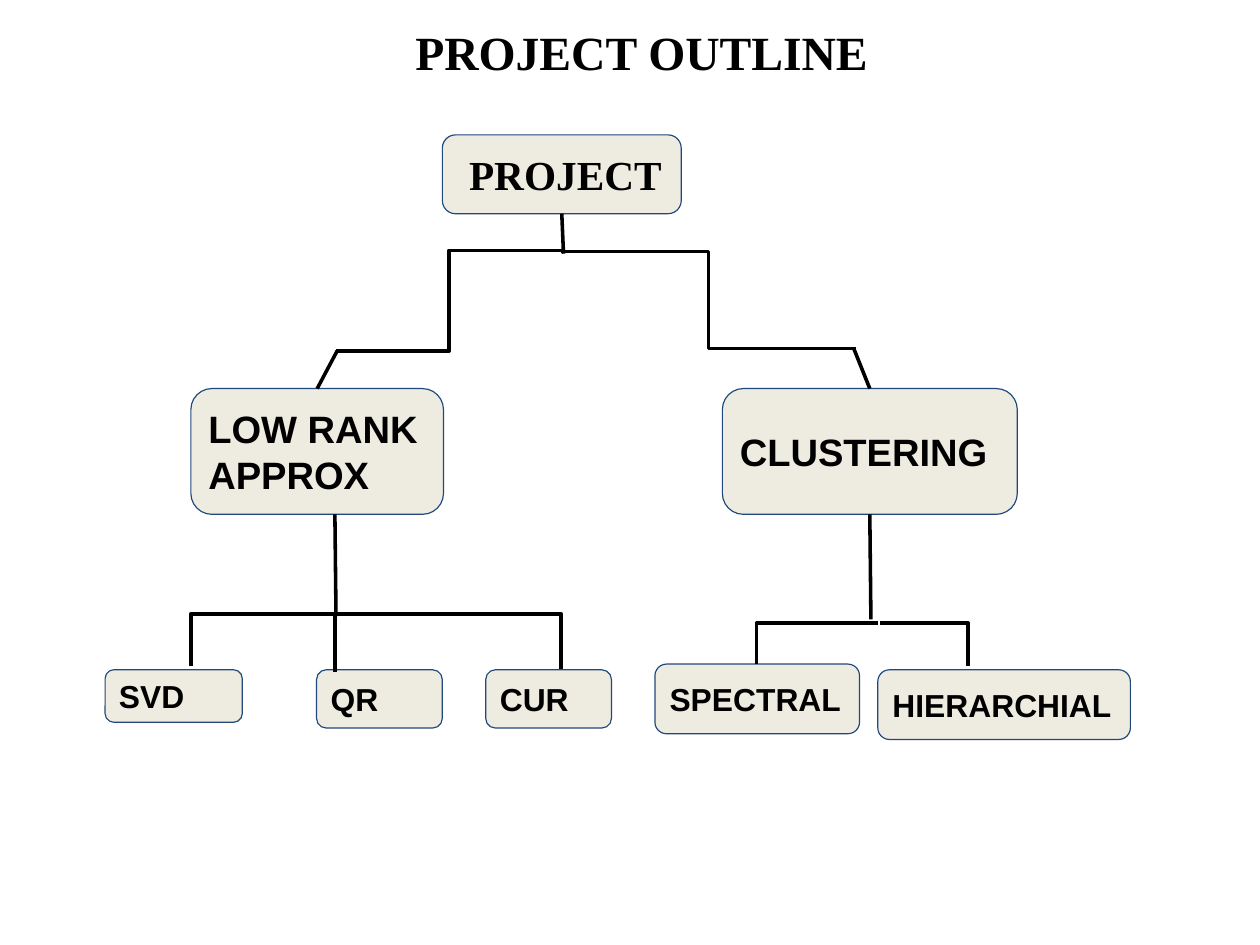
"""Build the project outline slide: a tree of rounded boxes joined by lines."""
from dataclasses import dataclass
from typing import Optional

from lxml import etree
from pptx import Presentation
from pptx.dml.color import RGBColor
from pptx.enum import shapes, text
from pptx.oxml import ns
from pptx.util import Cm, Inches, Pt

BLACK = RGBColor(0x00, 0x00, 0x00)
NAVY = RGBColor(0x1F, 0x49, 0x7D)
CREAM = RGBColor(0xEE, 0xEC, 0xE1)
SERIF, SANS = "Times New Roman", "Arial"
TOP, BOTTOM = 0, 2


@dataclass
class Node:
    label: str
    left: float
    top: float
    width: float
    height: float
    size: int = 20
    font: str = SANS
    indent: float = 0.1


@dataclass
class Link:
    start: tuple[float, float]
    end: tuple[float, float]
    bend: Optional[float] = None
    leaves: Optional[str] = None
    enters: Optional[str] = None


NODES = [
    Node("PROJECT", 3.87, 1.18, 2.09, 0.69, 26, SERIF, 0.2),
    Node("LOW RANK APPROX", 1.67, 3.4, 2.21, 1.1, 24),
    Node("CLUSTERING", 6.32, 3.4, 2.58, 1.1, 24),
    Node("SVD", 0.92, 5.86, 1.2, 0.46),
    Node("QR", 2.77, 5.86, 1.1, 0.51),
    Node("CUR", 4.25, 5.86, 1.1, 0.51),
    Node("SPECTRAL", 5.73, 5.81, 1.79, 0.61),
    Node("HIERARCHIAL", 7.68, 5.86, 2.21, 0.61),
]

LINKS = [
    Link((4.91, 1.87), (4.93, 2.22), leaves="PROJECT"),
    Link((4.92, 2.19), (2.94, 3.07), bend=0.5),
    Link((4.91, 2.2), (7.49, 3.05), bend=0.5),
    Link((2.95, 3.07), (2.78, 3.4), enters="LOW RANK APPROX"),
    Link((7.47, 3.05), (7.61, 3.4), enters="CLUSTERING"),
    Link((2.93, 4.5), (2.94, 5.39)),
    Link((2.97, 5.37), (1.67, 5.83), bend=1),
    Link((2.93, 5.37), (2.93, 5.88)),
    Link((2.93, 5.37), (4.91, 5.85), bend=1),
    Link((7.61, 4.5), (7.62, 5.42), leaves="CLUSTERING"),
    Link((7.68, 5.45), (6.62, 5.81), bend=1),
    Link((7.7, 5.45), (8.47, 5.83), bend=1),
]


def write(shape, label: str, size: int, font: str, align, indent: float = 0.1) -> None:
    """Put one bold line of text into a shape."""
    frame = shape.text_frame
    frame.word_wrap = True
    frame.margin_left = Inches(indent)
    frame.margin_right = frame.margin_top = frame.margin_bottom = Inches(0.1)
    frame.text = label
    para = frame.paragraphs[0]
    para.alignment = align
    span = para.runs[0]
    span.font.name = font
    span.font.size = Pt(size)
    span.font.bold = True
    span.font.color.rgb = BLACK


def draw_node(page, node: Node):
    """Draw one rounded box and return it."""
    place = map(Inches, (node.left, node.top, node.width, node.height))
    box = page.shapes.add_shape(shapes.MSO_SHAPE.ROUNDED_RECTANGLE, *place)
    box.shadow.inherit = False
    box.fill.solid()
    box.fill.fore_color.rgb = CREAM
    box.line.color.rgb = NAVY
    box.line.width = Pt(0.75)
    box.text_frame.vertical_anchor = text.MSO_ANCHOR.MIDDLE
    write(box, node.label, node.size, node.font, text.PP_ALIGN.LEFT, node.indent)
    return box


def draw_link(page, link: Link, boxes: dict) -> None:
    """Draw one straight or bent line, joined to boxes where named."""
    kinds = shapes.MSO_CONNECTOR
    kind = kinds.STRAIGHT if link.bend is None else kinds.ELBOW
    line = page.shapes.add_connector(kind, *map(Inches, link.start + link.end))
    line.line.color.rgb = BLACK
    line.line.width = Pt(2.25)
    properties = line._element.spPr
    etree.SubElement(properties, ns.qn("a:effectLst"))
    if link.bend is not None:
        guides = properties.find(ns.qn("a:prstGeom")).find(ns.qn("a:avLst"))
        etree.SubElement(guides, ns.qn("a:gd"), name="adj1", fmla=f"val {round(link.bend * 100000)}")
    if link.leaves:
        line.begin_connect(boxes[link.leaves], BOTTOM)
    if link.enters:
        line.end_connect(boxes[link.enters], TOP)


def main() -> None:
    """Build and save the deck."""
    deck = Presentation()
    deck.slide_width = Cm(28)
    deck.slide_height = Cm(21)
    page = deck.slides.add_slide(deck.slide_layouts[6])
    title = page.shapes.add_textbox(*map(Inches, (0.2, 0.1, 10.83, 0.99)))
    write(title, "PROJECT OUTLINE", 30, SERIF, text.PP_ALIGN.CENTER)
    boxes = {node.label: draw_node(page, node) for node in NODES}
    for link in LINKS:
        draw_link(page, link, boxes)
    deck.save("out.pptx")


if __name__ == "__main__":
    main()
